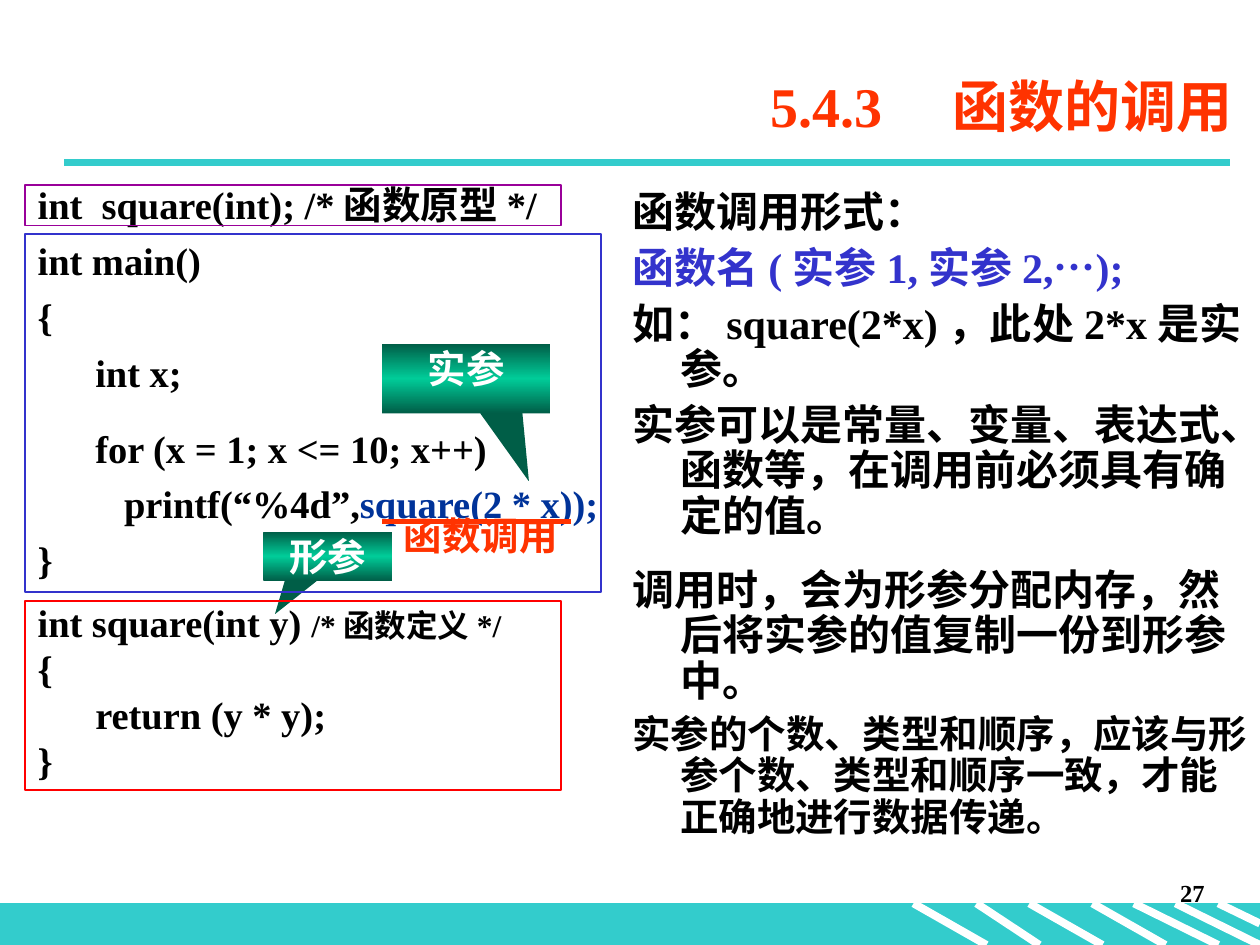
from copy import deepcopy
from dataclasses import dataclass

from lxml.etree import SubElement
from pptx import Presentation
from pptx.dml.color import RGBColor
from pptx.enum.shapes import MSO_CONNECTOR, MSO_SHAPE
from pptx.enum.text import MSO_ANCHOR, PP_ALIGN
from pptx.oxml.ns import qn
from pptx.util import Inches, Pt

LATIN = "Times New Roman"
CJK = "Noto Sans CJK SC"

BLACK = RGBColor(0x00, 0x00, 0x00)
WHITE = RGBColor(0xFF, 0xFF, 0xFF)
TEAL = RGBColor(0x33, 0xCC, 0xCC)
ORANGE = RGBColor(0xFF, 0x33, 0x00)
RED = RGBColor(0xFF, 0x00, 0x00)
BLUE = RGBColor(0x33, 0x33, 0xCC)
NAVY = RGBColor(0x00, 0x33, 0x99)
PURPLE = RGBColor(0x99, 0x00, 0x99)
GREEN = RGBColor(0x00, 0xCC, 0x99)
DARK_GREEN = RGBColor(0x00, 0x5E, 0x47)


@dataclass
class Run:
    text: str
    color: RGBColor = None
    size: float = None
    font: str = None
    spacing: float = None


@dataclass
class Para:
    runs: tuple
    before: float = 0
    size: float = 22
    color: RGBColor = BLACK


class SlideBuilder:
    def __init__(self, slide):
        self.slide = slide

    def fill_text(self, tf, paras, align=PP_ALIGN.LEFT, hanging=False):
        """Fill a text frame; hanging gives the indented, tighter style."""
        tf.word_wrap = True
        for i, para in enumerate(paras):
            p = tf.paragraphs[0] if i == 0 else tf.add_paragraph()
            p.alignment = align
            p.space_before = Pt(para.before)
            if hanging:
                p.line_spacing = 0.9
                pPr = p._p.get_or_add_pPr()
                pPr.set("marL", str(Inches(0.38)))
                pPr.set("indent", str(Inches(-0.38)))
            p.font.size, p.font.bold = Pt(para.size), True
            p.font.color.rgb = para.color
            p.font.name = LATIN
            SubElement(p.font._element, qn("a:ea"), typeface=CJK)
            for run in para.runs:
                self.add_run(p, run)

    def add_run(self, p, run):
        r = p.add_run()
        r.text = run.text
        if run.color is not None:
            r.font.color.rgb = run.color
        if run.size:
            r.font.size = Pt(run.size)
        if run.font:
            r.font.name = run.font
        if run.spacing:
            r.font._element.set("spc", str(int(run.spacing * 100)))

    def text(self, box, paras, anchor=MSO_ANCHOR.TOP, **style):
        tf = self.slide.shapes.add_textbox(*map(Inches, box)).text_frame
        tf.vertical_anchor = anchor
        self.fill_text(tf, paras, **style)

    def shape(self, kind, box):
        sp = self.slide.shapes.add_shape(kind, *map(Inches, box))
        sp.shadow.inherit = False
        return sp

    def rect(self, box, line, width, fill=None):
        sp = self.shape(MSO_SHAPE.RECTANGLE, box)
        if fill is None:
            sp.fill.background()
        else:
            sp.fill.solid()
            sp.fill.fore_color.rgb = fill
        sp.line.color.rgb = line
        sp.line.width = Pt(width)

    def line(self, x1, y1, x2, y2, color, width):
        cxn = self.slide.shapes.add_connector(
            MSO_CONNECTOR.STRAIGHT, *map(Inches, (x1, y1, x2, y2)))
        cxn.line.color.rgb = color
        cxn.line.width = Pt(width)
        SubElement(cxn._element.spPr, qn("a:effectLst"))

    def callout(self, box, tip, label):
        sp = self.shape(MSO_SHAPE.RECTANGULAR_CALLOUT, box)
        sp.adjustments[0], sp.adjustments[1] = tip
        sp.line.fill.background()
        # Dark edges with a bright middle band
        sp.fill.gradient()
        sp.fill.gradient_angle = 90
        edge, middle = sp.fill.gradient_stops
        edge.color.rgb, edge.position = DARK_GREEN, 0
        middle.color.rgb, middle.position = GREEN, 0.5
        stops = sp._element.spPr.find(".//" + qn("a:gsLst"))
        last = deepcopy(stops[0])
        last.set("pos", "100000")
        stops.append(last)
        sp.text_frame.vertical_anchor = MSO_ANCHOR.TOP
        self.fill_text(sp.text_frame, [Para((Run(label),), color=WHITE)],
                       align=PP_ALIGN.CENTER, hanging=True)


def main():
    prs = Presentation()
    prs.slide_width, prs.slide_height = Inches(10), Inches(7.5)
    s = SlideBuilder(prs.slides.add_slide(prs.slide_layouts[6]))

    # Footer band with stripes, and title rule
    s.rect((0, 7.17, 10, 0.33), TEAL, 0.75, TEAL)
    for x1, x2, y2 in ((7.25, 7.83, 7.5), (7.75, 8.25, 7.5), (8.17, 8.75, 7.5),
                       (8.67, 9.25, 7.5), (9, 9.67, 7.5), (9.33, 10, 7.5),
                       (9.67, 10, 7.33)):
        s.line(x1, 7.17, x2, y2, WHITE, 4.5)
    s.line(0.51, 1.29, 9.76, 1.29, TEAL, 4.5)

    # Page number and title
    s.text((7.58, 6.92, 2.08, 0.5), [Para((Run("27"),), size=14)],
           align=PP_ALIGN.RIGHT)
    title = (Run("5.4.3"), Run(" ", spacing=24), Run("函数的调用"))
    s.text((1.38, 0.44, 8.5, 0.79), [Para(title, size=32, color=ORANGE)],
           anchor=MSO_ANCHOR.MIDDLE, align=PP_ALIGN.RIGHT)

    # Code listing
    s.text((0.2, 1.39, 6.85, 5.33), [
        Para((Run("int  square(int); /*函数原型*/"),)),
        Para((Run("int main()"),), 5.5),
        Para((Run("{"),), 5.5),
        Para((Run("      int x;"),), 5.5),
        Para((Run("      for (x = 1; x <= 10; x++)"),), 17),
        Para((Run("         printf(“%4d”,"),
              Run("square(2 * x));", color=NAVY)), 5.5),
        Para((Run("}"),), 5.5),
        Para((Run("int square(int y) "), Run("/*函数定义*/", size=18)), 9.3),
        Para((Run("{"),)),
        Para((Run("      return (y * y);"),)),
        Para((Run("}"),)),
    ])

    # Callouts and the marked call
    s.callout((3.03, 2.73, 1.34, 0.55), (0.372, 1.484), "实参")
    s.callout((2.09, 4.22, 1.02, 0.39), (-0.41, 1.178), "形参")
    s.line(3.03, 4.14, 4.53, 4.14, ORANGE, 3)
    s.text((3.03, 4.06, 1.57, 0.43), [Para((Run("函数调用"),), color=ORANGE)],
           align=PP_ALIGN.CENTER, hanging=True)

    # Frames around the code parts
    for top, width, height, color in ((4.77, 4.25, 1.5, RED),
                                      (1.86, 4.57, 2.84, BLUE),
                                      (1.47, 4.25, 0.32, PURPLE)):
        s.rect((0.2, top, width, height), color, 1)

    # Explanation
    s.text((4.92, 1.47, 5.08, 5.77), [
        Para((Run("函数调用形式："),), size=24),
        Para((Run("函数名(实参1,实参2,"), Run("…", font=CJK), Run(");")),
             6, 24, BLUE),
        Para((Run("如：square(2*x)，此处2*x是实参。"),), 6, 24),
        Para((Run("实参可以是常量、变量、表达式、函数等，在调用前必须具有确定的值。"),),
             6, 24),
        Para((Run("调用时，会为形参分配内存，然后将实参的值复制一份到形参中。"),),
             16.5, 24),
        Para((Run("实参的个数、类型和顺序，应该与形参个数、类型和顺序一致，"
                  "才能正确地进行数据传递。"),), 5.5),
    ], hanging=True)

    prs.save("out.pptx")


if __name__ == "__main__":
    main()
